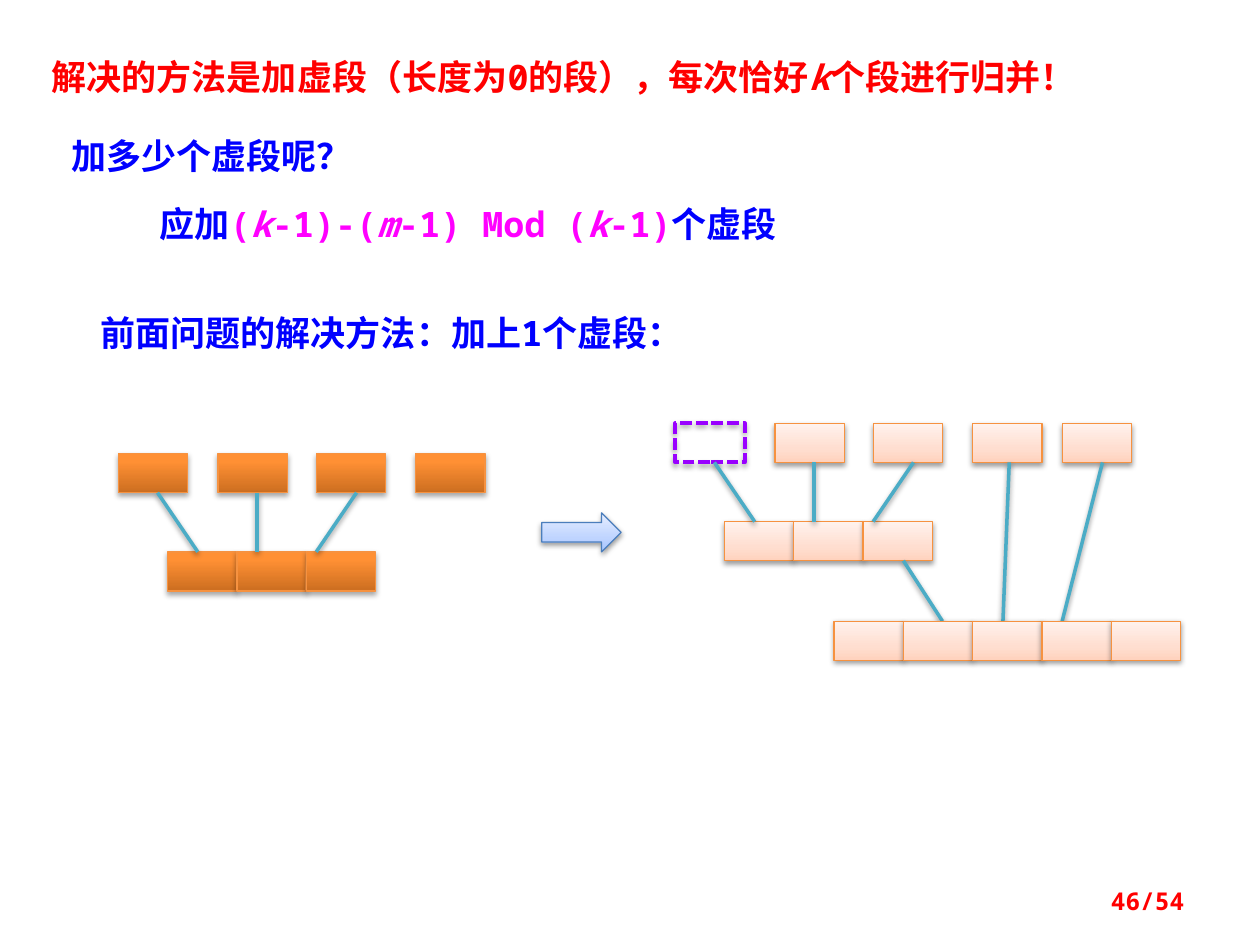
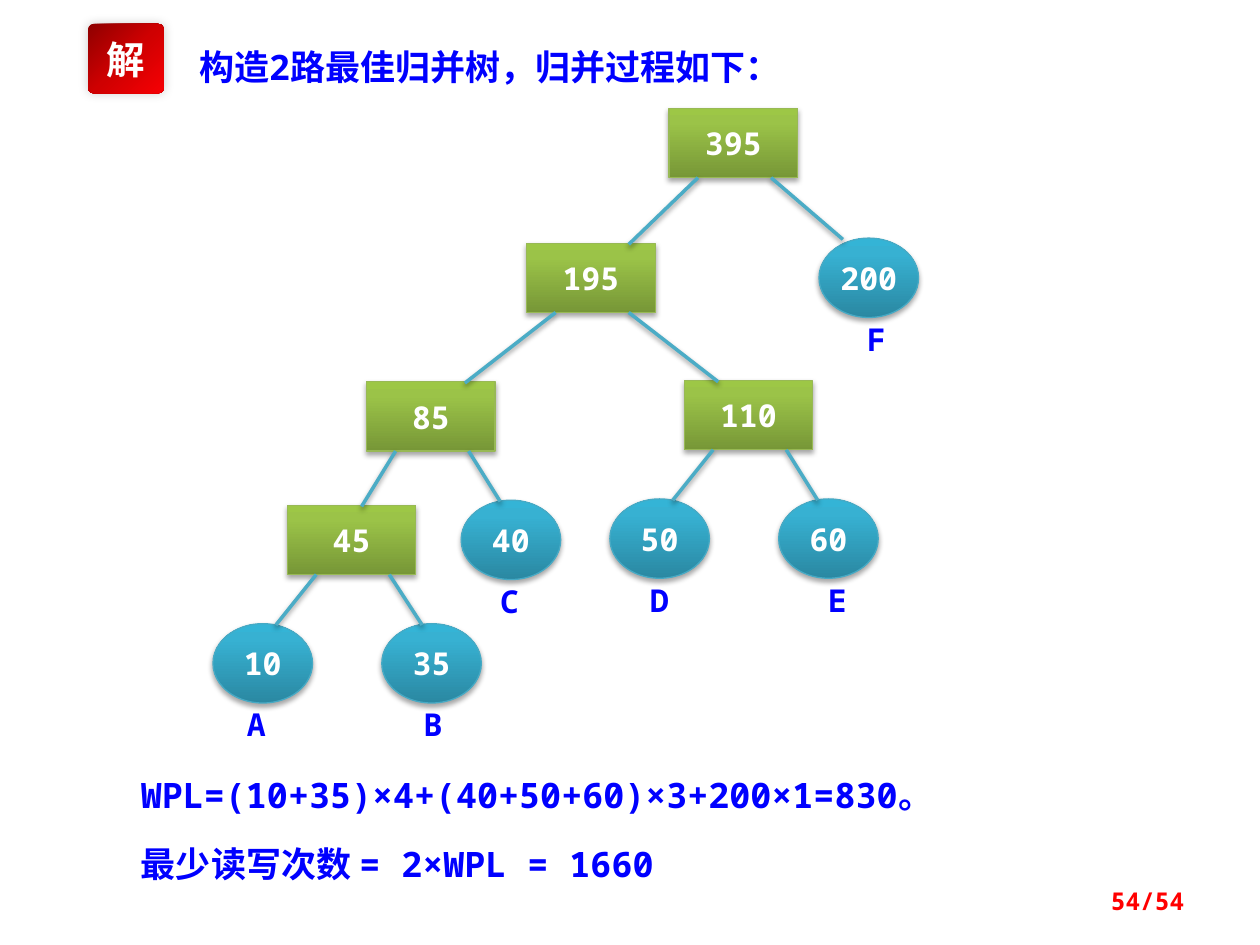
from pptx import Presentation
from pptx.util import Inches, Pt
from pptx.dml.color import RGBColor
from pptx.enum.dml import MSO_LINE
from pptx.enum.shapes import MSO_SHAPE, MSO_CONNECTOR
from pptx.enum.text import MSO_ANCHOR, MSO_AUTO_SIZE, PP_ALIGN
from pptx.oxml.ns import qn
from lxml.etree import SubElement

MONO, HAN = "Noto Sans Mono", "Noto Sans CJK SC"
RED, BLUE, PINK, WHITE = "FF0000", "0000FF", "FF00FF", "FFFFFF"
TEAL, PURPLE = "4BACC6", "9900FF"
PAGES = 54

# Looks: gradient stops, line colour, shadow (alpha %, blur, distance, angle)
SOFT, DEEP = (38, 3.1, 1.6, 90), (35, 3.1, 1.8, 90)
PEACH = ([(0, "FFD2BD"), (35, "FFDED0"), (100, "FFF2ED")], "F69240", SOFT)
ORANGE = ([(0, "CC6E20"), (80, "FF9034"), (100, "FF9136")], "F69240", DEEP)
SKY = ([(0, "A4C4FF"), (35, "BFD4FF"), (100, "E6EEFF")], "4B7EBC", SOFT)
GREEN = ([(0, "779737"), (80, "9BC348"), (100, "9DC746")], "98B955", DEEP)
AQUA = ([(0, "2A88A2"), (80, "37B1D2"), (100, "34B4D6")], "46AAC5", DEEP)
CRIMSON = ([(0, "8F0000"), (50, "CF0001"), (100, "F60004")], None, (20, 6, 0, 225))
GHOST = (None, PURPLE, SOFT)

RUN_W, RUN_H = 0.55, 0.31      # one run of records
DROP = 0.78                    # from one level of runs to the next
INNER, LEAF = (1.02, 0.55), (0.79, 0.63)


# Shared helpers
def paint(hue):
    return RGBColor.from_string(hue)


def write(frame, text, size=20, color=BLUE, font=MONO, bold=True,
          align=PP_ALIGN.LEFT, anchor=MSO_ANCHOR.TOP, wrap=True):
    """Fill a frame with a string, or with (text, color, italic) parts."""
    frame.word_wrap = wrap
    frame.auto_size = MSO_AUTO_SIZE.NONE
    frame.vertical_anchor = anchor
    para = frame.paragraphs[0]
    para.alignment = align
    parts = [(text, color, False)] if isinstance(text, str) else text
    for words, hue, slant in parts:
        run = para.add_run()
        run.text = words
        face = run.font
        face.name, face.size, face.bold, face.italic = font, Pt(size), bold, slant
        face.color.rgb = paint(hue)
        SubElement(run._r.get_or_add_rPr(), qn("a:ea"), typeface=HAN)


def label(slide, text, x, y, w, h=0.44, **form):
    box = slide.shapes.add_textbox(Inches(x), Inches(y), Inches(w), Inches(h))
    write(box.text_frame, text, **form)


def shade(props, look):
    """Put an outer shadow in the effect list of a shape or line."""
    alpha, blur, dist, turn = look
    effects = props.find(qn("a:effectLst"))
    if effects is None:
        effects = SubElement(props, qn("a:effectLst"))
    outer = SubElement(effects, qn("a:outerShdw"), blurRad=str(Pt(blur)),
                       dist=str(Pt(dist)), dir=str(turn * 60000), rotWithShape="0")
    tone = SubElement(outer, qn("a:srgbClr"), val="000000")
    SubElement(tone, qn("a:alpha"), val=str(alpha * 1000))


def block(slide, kind, x, y, w, h, look, angle=90):
    stops, edge, shadow = look
    shape = slide.shapes.add_shape(kind, Inches(x), Inches(y), Inches(w), Inches(h))
    shape.shadow.inherit = False
    props = shape._element.spPr
    if stops:
        shape.fill.gradient()
        shape.fill.gradient_angle = angle
        ramp = props.find(".//" + qn("a:gsLst"))
        for old in list(ramp):
            ramp.remove(old)
        for place, hue in stops:
            stop = SubElement(ramp, qn("a:gs"), pos=str(place * 1000))
            SubElement(stop, qn("a:srgbClr"), val=hue)
    else:
        shape.fill.background()
    if edge:
        shape.line.color.rgb = paint(edge)
        shape.line.width = Pt(0.75)
    else:
        shape.line.fill.background()
    shade(props, shadow)
    return shape


def link(slide, x1, y1, x2, y2):
    line = slide.shapes.add_connector(
        MSO_CONNECTOR.STRAIGHT, Inches(x1), Inches(y1), Inches(x2), Inches(y2))
    line.line.color.rgb = paint(TEAL)
    line.line.width = Pt(2)
    shade(line._element.spPr, SOFT)


def start(deck, title, page, x, y, w, h=0.44):
    """Add a slide with its title and page number."""
    slide = deck.slides.add_slide(deck.slide_layouts[5])
    head = slide.shapes.title
    head.left, head.top, head.width, head.height = map(Inches, (x, y, w, h))
    write(head.text_frame, title, color=title[0][1])
    label(slide, f"{page}/{PAGES}", 7.17, 6.95, 2.33, 0.4, size=14, color=RED,
          align=PP_ALIGN.RIGHT, anchor=MSO_ANCHOR.MIDDLE)
    return slide


# Merging of runs
def runs(slide, lefts, y, look):
    return [block(slide, MSO_SHAPE.RECTANGLE, x, y, RUN_W, RUN_H, look)
            for x in lefts]


def joined(x, count):
    return [x + RUN_W * i for i in range(count)]


def merge(slide, x, y, look, lefts):
    """Draw a top row of runs whose first three join into one."""
    top = runs(slide, [x + left for left in lefts], y, look)
    runs(slide, joined(x + 0.39, 3), y + DROP, look)
    for high, low in ((0.31, 0.63), (1.1, 1.1), (1.89, 1.57)):
        link(slide, x + high, y + RUN_H, x + low, y + DROP)
    return top


def padded(slide, x, y):
    """Draw the merge that starts with an empty run."""
    top = merge(slide, x, y, PEACH, (0, 0.79, 1.57, 2.36, 3.07))
    empty = top[0]
    empty.fill.background()
    empty.line.color.rgb = paint(PURPLE)
    empty.line.width = Pt(2.25)
    empty.line.dash_style = MSO_LINE.SQUARE_DOT
    last = 2 * DROP + 0.01
    for x1, y1, x2 in ((1.81, DROP + RUN_H, 2.12), (2.65, RUN_H, 2.6),
                       (3.39, RUN_H, 3.07)):
        link(slide, x + x1, y + y1, x + x2, y + last)
    runs(slide, joined(x + 1.26, 5), y + last, PEACH)


def dummy(deck):
    title = [("解决的方法是加虚段（长度为0的段），每次恰好", RED, False),
             ("k", RED, True), ("个段进行归并！", RED, False)]
    slide = start(deck, title, 46, 0.31, 0.39, 8.67)
    label(slide, "加多少个虚段呢？", 0.47, 1.02, 3.2)
    rule = [("应加", BLUE, False), ("(", PINK, False), ("k", PINK, True),
            ("-1)-(", PINK, False), ("m", PINK, True), ("-1) Mod (", PINK, False),
            ("k", PINK, True), ("-1)", PINK, False), ("个虚段", BLUE, False)]
    label(slide, rule, 1.17, 1.56, 5.7)
    label(slide, "前面问题的解决方法：加上1个虚段：", 0.7, 2.42, 5.74)
    merge(slide, 0.94, 3.6, ORANGE, (0, 0.79, 1.57, 2.36))
    block(slide, MSO_SHAPE.RIGHT_ARROW, 4.3, 4.07, 0.63, 0.31, SKY)
    padded(slide, 5.36, 3.36)


# Merge tree: value -> left, top, parent, where the link lands
NODES = {
    395: (3.62, 0, None, 0),
    195: (2.49, 1.07, 395, 0.81), 200: (4.81, 1.03, 395, 0.19),
    85: (1.22, 2.17, 195, 0.78), 110: (3.74, 2.16, 195, 0.27),
    45: (0.59, 3.15, 85, 0.59), 40: (1.97, 3.11, 85, 0.31),
    50: (3.15, 3.1, 110, 0.5), 60: (4.49, 3.1, 110, 0.31),
    10: (0, 4.09, 45, 0.5), 35: (1.34, 4.09, 45, 0.32),
}
# Leaf value -> letter and its shift from the left of the leaf
MARKS = {10: ("A", 0.11), 35: ("B", 0.17), 40: ("C", 0.15),
         50: ("D", 0.16), 60: ("E", 0.23), 200: ("F", 0.22)}


def tree(slide, x, y):
    for value, (left, top, _, _) in NODES.items():
        leaf = value in MARKS
        kind = MSO_SHAPE.OVAL if leaf else MSO_SHAPE.RECTANGLE
        size, look = (LEAF, AQUA) if leaf else (INNER, GREEN)
        node = block(slide, kind, x + left, y + top, *size, look)
        write(node.text_frame, str(value), size=18, color=WHITE, wrap=False,
              align=PP_ALIGN.CENTER, anchor=MSO_ANCHOR.MIDDLE)
        if leaf:
            mark, shift = MARKS[value]
            label(slide, mark, x + left + shift, y + top + 0.6, 0.47, 0.4,
                  size=18, align=PP_ALIGN.CENTER)
    for left, top, parent, land in NODES.values():
        if parent:
            px, py = NODES[parent][:2]
            exit = 0.23 if left < px else 0.81
            link(slide, x + px + exit, y + py + INNER[1],
                 x + left + land, y + top + 0.01)


def badge(slide, x, y):
    shape = block(slide, MSO_SHAPE.ROUNDED_RECTANGLE, x, y, 0.6, 0.55, CRIMSON, 315)
    shape.adjustments[0] = 0.08
    write(shape.text_frame, "解", size=22, color=WHITE, font=HAN, wrap=False,
          align=PP_ALIGN.CENTER, anchor=MSO_ANCHOR.MIDDLE)


def answer(deck):
    title = [("构造2路最佳归并树，归并过程如下：", BLUE, False)]
    slide = start(deck, title, 54, 1.48, 0.31, 4.77)
    badge(slide, 0.7, 0.19)
    tree(slide, 1.69, 0.86)
    label(slide, "WPL=(10+35)×4+(40+50+60)×3+200×1=830。", 1.02, 6.09, 7.27)
    label(slide, "最少读写次数 = 2×WPL = 1660", 1.02, 6.64, 6.95)


def main():
    deck = Presentation()
    deck.slide_width, deck.slide_height = Inches(10), Inches(7.5)
    dummy(deck)
    answer(deck)
    deck.save("out.pptx")


if __name__ == "__main__":
    main()
